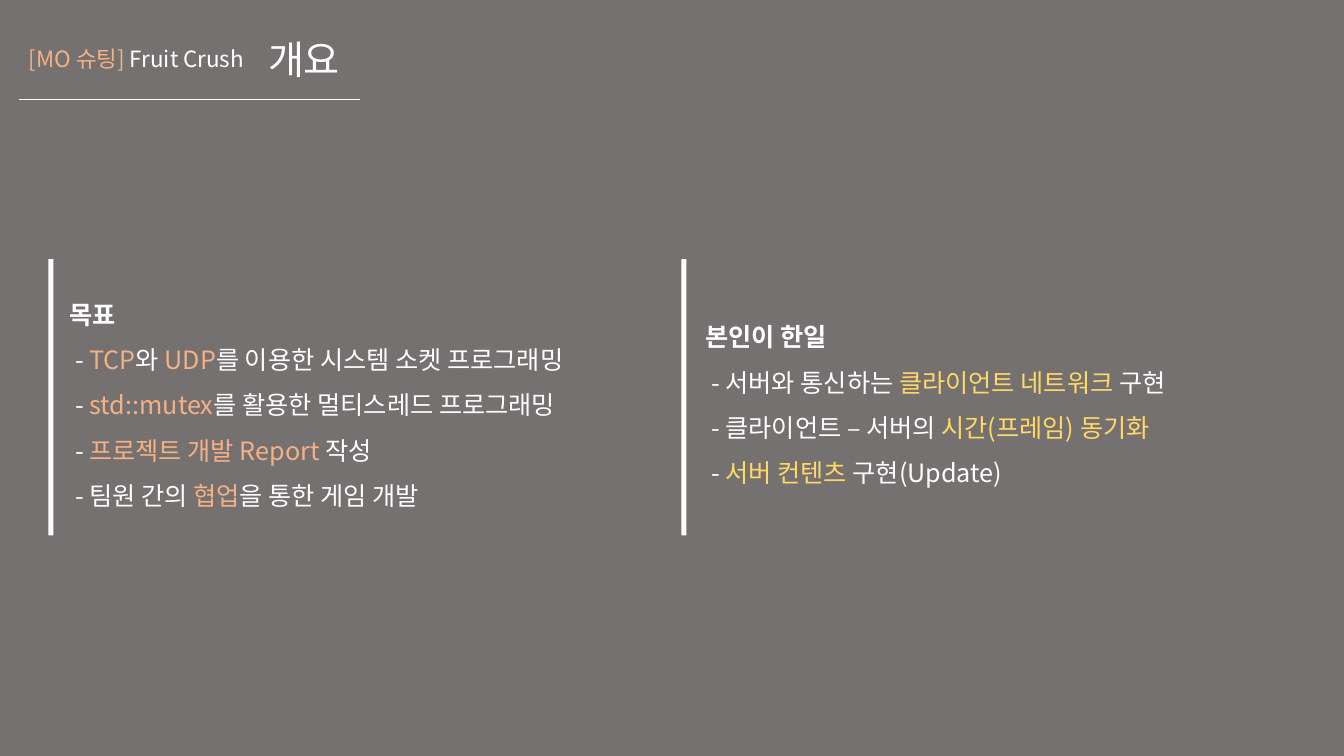
from dataclasses import dataclass

import lxml.etree
import pptx
import pptx.dml.color
import pptx.enum.shapes
import pptx.enum.text
import pptx.oxml.ns
import pptx.util

Cm = pptx.util.Cm
Anchor = pptx.enum.text.MSO_ANCHOR

HEADING = "개요"
PROJECT = [("[MO 슈팅] ", "orange"), ("Fruit Crush", "white")]
SECTIONS = [
    {
        "bar_left": 1.22,
        "text_left": 1.5,
        "heading": "목표",
        "points": [
            [(" - ", "white"), ("TCP", "orange"), ("와 ", "white"), ("UDP", "orange"),
             ("를 이용한 시스템 소켓 프로그래밍", "white")],
            [(" - ", "white"), ("std::mutex", "orange"), ("를 활용한 멀티스레드 프로그래밍", "white")],
            [(" - ", "white"), ("프로젝트 개발 Report ", "orange"), ("작성", "white")],
            [(" - 팀원 간의 ", "white"), ("협업", "orange"), ("을 통한 게임 개발", "white")],
        ],
    },
    {
        "bar_left": 17.17,
        "text_left": 17.53,
        "heading": "본인이 한일",
        "points": [
            [(" - 서버와 통신하는 ", "white"), ("클라이언트 네트워크", "yellow"), (" 구현", "white")],
            [(" - 클라이언트 – 서버의 ", "white"), ("시간(프레임) 동기화", "yellow")],
            [(" - ", "white"), ("서버 컨텐츠", "yellow"), (" 구현(Update)", "white")],
        ],
    },
]
SECTION_TOP, SECTION_WIDTH, SECTION_HEIGHT, BAR_WIDTH = 6.53, 14.81, 6.96, 0.13
RULE_LEFT, RULE_RIGHT, RULE_TOP = 0.48, 9.07, 2.51


@dataclass(frozen=True)
class Theme:
    background: str = "767171"
    white: str = "FFFFFF"
    orange: str = "F4B183"
    yellow: str = "FFD966"
    font: str = "Noto Sans CJK KR"
    title_size: int = 28
    project_size: int = 16
    body_size: int = 18
    rule_width: float = 0.5

    def rgb(self, role):
        return pptx.dml.color.RGBColor.from_string(getattr(self, role))


THEME = Theme()


def format_run(run, role, size, bold=False):
    run.font.size = pptx.util.Pt(size)
    run.font.bold = bold
    run.font.color.rgb = THEME.rgb(role)
    run.font.name = THEME.font
    east_asian = lxml.etree.SubElement(run._r.get_or_add_rPr(), pptx.oxml.ns.qn("a:ea"))
    east_asian.set("typeface", THEME.font)


def write_line(paragraph, pieces, size, spacing, bold=False):
    paragraph.alignment = pptx.enum.text.PP_ALIGN.LEFT
    paragraph.line_spacing = spacing
    for words, role in pieces:
        run = paragraph.add_run()
        run.text = words
        format_run(run, role, size, bold)


def prepare_frame(frame, anchor):
    frame.word_wrap = True
    frame.auto_size = pptx.enum.text.MSO_AUTO_SIZE.NONE
    frame.vertical_anchor = anchor


def add_header(slide):
    title = slide.shapes.title
    title.left, title.top, title.width, title.height = Cm(6.5), Cm(0.43), Cm(2.54), Cm(2.26)
    prepare_frame(title.text_frame, Anchor.MIDDLE)
    write_line(title.text_frame.paragraphs[0], [(HEADING, "white")], THEME.title_size, 0.9)

    project = slide.shapes.add_textbox(Cm(0.48), Cm(1.02), Cm(7.57), Cm(0.94)).text_frame
    prepare_frame(project, Anchor.TOP)
    project.auto_size = pptx.enum.text.MSO_AUTO_SIZE.SHAPE_TO_FIT_TEXT
    write_line(project.paragraphs[0], PROJECT, THEME.project_size, 1.0)

    rule = slide.shapes.add_connector(
        pptx.enum.shapes.MSO_CONNECTOR.STRAIGHT,
        Cm(RULE_RIGHT), Cm(RULE_TOP), Cm(RULE_LEFT), Cm(RULE_TOP))
    rule.line.color.rgb = THEME.rgb("white")
    rule.line.width = pptx.util.Pt(THEME.rule_width)
    lxml.etree.SubElement(rule._element.spPr, pptx.oxml.ns.qn("a:effectLst"))


def add_section(slide, section):
    group = slide.shapes.add_group_shape()
    body = group.shapes.add_textbox(
        Cm(section["text_left"]), Cm(SECTION_TOP), Cm(SECTION_WIDTH), Cm(SECTION_HEIGHT)).text_frame
    prepare_frame(body, Anchor.MIDDLE)
    write_line(body.paragraphs[0], [(section["heading"], "white")], THEME.body_size, 1.5, bold=True)
    for point in section["points"]:
        write_line(body.add_paragraph(), point, THEME.body_size, 1.5)

    bar = group.shapes.add_shape(
        pptx.enum.shapes.MSO_SHAPE.RECTANGLE,
        Cm(section["bar_left"]), Cm(SECTION_TOP), Cm(BAR_WIDTH), Cm(SECTION_HEIGHT))
    bar.shadow.inherit = False
    bar.fill.solid()
    bar.fill.fore_color.rgb = THEME.rgb("white")
    bar.line.fill.background()


def main():
    deck = pptx.Presentation()
    deck.slide_width, deck.slide_height = Cm(33.87), Cm(19.05)
    slide = deck.slides.add_slide(deck.slide_layouts.get_by_name("Title Only"))
    slide.background.fill.solid()
    slide.background.fill.fore_color.rgb = THEME.rgb("background")
    add_header(slide)
    for section in SECTIONS:
        add_section(slide, section)
    deck.save("out.pptx")


if __name__ == "__main__":
    main()
